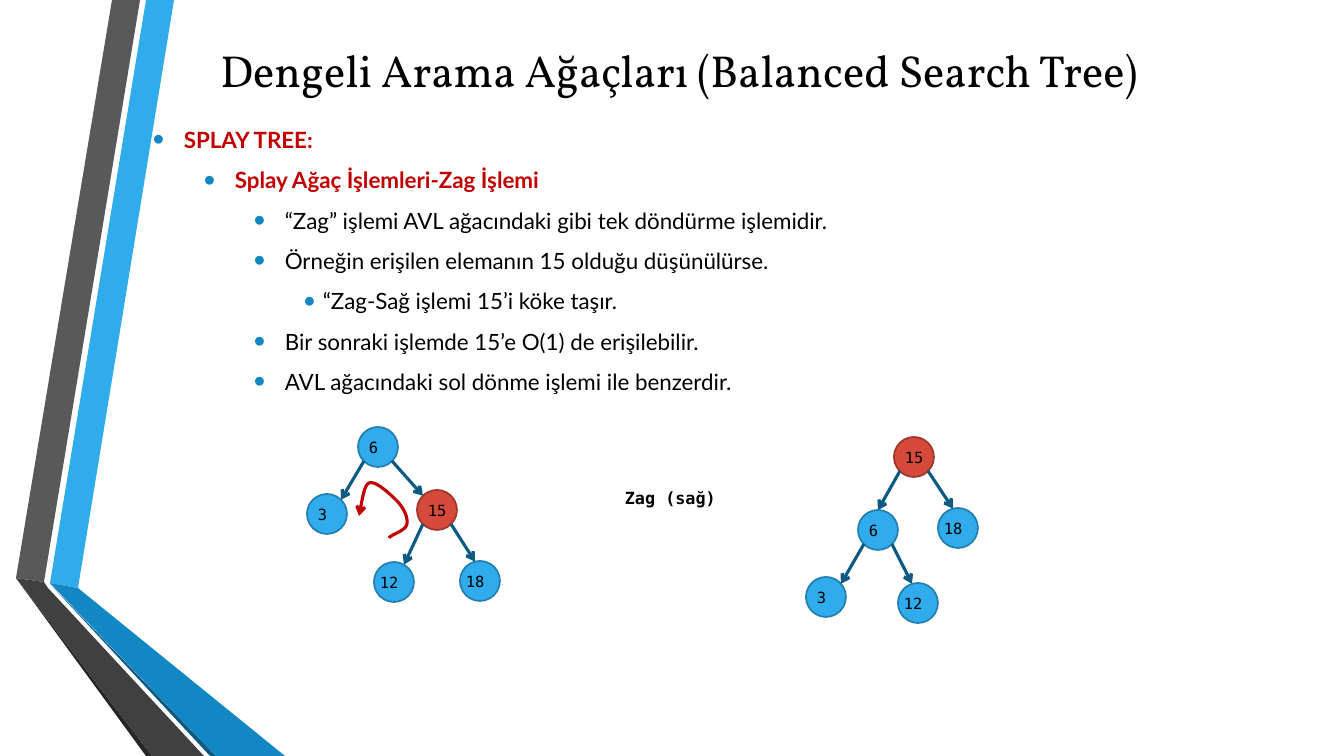
import pptx
import pptx.util
import pptx.dml.color
import pptx.enum.shapes
import pptx.enum.text
import pptx.oxml.ns
from lxml import etree

PX = 914400 / 100.8  # EMU in one pixel
THEME = {
    "head": ("Vollkorn", 32), "body": ("Lato", 16),
    "node": ("DejaVu Sans Mono", 11), "note": ("DejaVu Sans Mono", 12),
    "black": "000000", "red": "C00000", "bullet": "1287C3", "edge": "0C5A82",
    "blue": ("30ACEC", "247FAF"), "root": ("D64A3B", "9E372C"),
    "thin": 1.25, "thick": 2.25,
}

# Content
TITLE = "Dengeli Arama Ağaçları (Balanced Search Tree)"
LINES = [  # level, text
    (0, "SPLAY TREE:"),
    (1, "Splay Ağaç İşlemleri-Zag İşlemi"),
    (2, "“Zag” işlemi AVL ağacındaki gibi tek döndürme işlemidir."),
    (2, "Örneğin erişilen elemanın 15 olduğu düşünülürse."),
    (3, "“Zag-Sağ işlemi 15’i köke taşır."),
    (2, "Bir sonraki işlemde 15’e O(1) de erişilebilir."),
    (2, "AVL ağacındaki sol dönme işlemi ile benzerdir."),
]
INDENT = [(31, 31), (82, 31), (132, 31), (170, 19)]  # text start, hang
NOTE = "Zag (sağ)"
TREES = [  # label: centre x, centre y, parent, arrow tip's x from centre
    {"6": (378, 447, None, 0), "3": (327, 514, "6", 14),
     "15": (437, 510, "6", -14), "12": (394, 582, "15", 10),
     "18": (480, 581, "15", -5)},
    {"15": (914, 457, None, 0), "6": (878, 530, "15", 0),
     "18": (958, 528, "15", -5), "3": (826, 597, "6", 15),
     "12": (918, 603, "6", -6)},
]
BANDS = [  # colour, corners
    ("30ACEC", [(50, 583), (78, 588), (174, 0), (146, 0)]),
    ("595959", [(140, 0), (112, 0), (16, 578), (44, 582)]),
    ("262626", [(16, 578), (146, 756), (152, 756)]),
    ("0C5A82", [(50, 584), (210, 756), (216, 756)]),
    ("1287C3", [(50, 583), (216, 756), (285, 756), (78, 588)]),
    ("404040", [(16, 578), (152, 756), (204, 756), (48, 588), (44, 582)]),
]
TURN = [(389, 538), (390, 535), (406, 531), (407, 524), (408, 517), (404, 509),
        (398, 502), (392, 496), (376, 480), (369, 483), (363, 485), (361, 510),
        (359, 516)]  # Bezier points, three to a piece
RAD = 20    # node radius
FOOT = 14   # edges leave a node this far from its centre, both ways


def emu(*nums):
    return [round(n * PX) for n in nums]


def color(code):
    return pptx.dml.color.RGBColor.from_string(code)


def add(node, tag, **attrs):
    return etree.SubElement(node, pptx.oxml.ns.qn(tag), attrs)


def style(para, kind, tint="black", bold=False):
    for run in para.runs:
        run.font.name, size = THEME[kind]
        run.font.size = pptx.util.Pt(size)
        run.font.color.rgb = color(THEME[tint])
        run.font.bold = bold


def stroke(shape, code, width, arrow=False):
    shape.line.color.rgb = color(code)
    shape.line.width = pptx.util.Pt(width)
    if arrow:
        add(shape.line._get_or_add_ln(), "a:tailEnd", type="arrow")


def outline(group, points, close):
    pen = group.shapes.build_freeform(*emu(*points[0]))
    pen.add_line_segments([emu(*p) for p in points[1:]], close=close)
    shape = pen.convert_to_shape()
    shape.shadow.inherit = False
    return shape


def curve(points, steps=12):
    out = [points[0]]
    for k in range(0, len(points) - 1, 3):
        a, b, c, d = points[k:k + 4]
        for n in range(1, steps + 1):
            t = n / steps
            u = 1 - t
            out.append([u**3 * a[i] + 3 * u * u * t * b[i]
                        + 3 * u * t * t * c[i] + t**3 * d[i] for i in (0, 1)])
    return out


def draw_node(group, label, x, y):
    node = group.shapes.add_shape(
        pptx.enum.shapes.MSO_SHAPE.OVAL,
        *emu(x - RAD, y - RAD, 2 * RAD, 2 * RAD))
    node.shadow.inherit = False
    fill, line = THEME["root" if label == "15" else "blue"]
    node.fill.solid()
    node.fill.fore_color.rgb = color(fill)
    stroke(node, line, THEME["thin"])
    frame = node.text_frame
    frame.text = label
    frame.word_wrap = True
    frame.margin_top = frame.margin_bottom = frame.margin_right = 0
    frame.margin_left = emu(0 if label in ("12", "18") else 5)[0]
    frame.vertical_anchor = pptx.enum.text.MSO_ANCHOR.MIDDLE
    frame.paragraphs[0].alignment = pptx.enum.text.PP_ALIGN.LEFT
    style(frame.paragraphs[0], "node")


def draw_edge(group, start, end, tip):
    side = FOOT if end[0] > start[0] else -FOOT
    edge = group.shapes.add_connector(
        pptx.enum.shapes.MSO_CONNECTOR.STRAIGHT,
        *emu(start[0] + side, start[1] + FOOT,
             end[0] + tip, end[1] - (RAD**2 - tip**2) ** 0.5))
    stroke(edge, THEME["edge"], THEME["thick"], True)
    add(edge._element.spPr, "a:effectLst")


deck = pptx.Presentation()
deck.slide_width, deck.slide_height = emu(1344, 756)
slide = deck.slides.add_slide(deck.slide_layouts[5])

# Side bands
side = slide.shapes.add_group_shape()
for code, points in BANDS:
    band = outline(side, points, True)
    band.fill.solid()
    band.fill.fore_color.rgb = color(code)
    band.line.fill.background()

# Title
head = slide.shapes.title
head.left, head.top, head.width, head.height = emu(156, 17, 1047, 105)
head.text_frame.text = TITLE
head.text_frame.vertical_anchor = pptx.enum.text.MSO_ANCHOR.MIDDLE
head.text_frame.paragraphs[0].alignment = pptx.enum.text.PP_ALIGN.CENTER
style(head.text_frame.paragraphs[0], "head")

# Bulleted text
body = slide.shapes.add_textbox(*emu(143, 108, 1120, 305)).text_frame
body.word_wrap = True
body.text = "\n".join(text for level, text in LINES)
for para, (level, text) in zip(body.paragraphs, LINES):
    top = level < 2
    style(para, "body", "red" if top else "black", top)
    para.level = level
    para.line_spacing = 1.5
    para.alignment = pptx.enum.text.PP_ALIGN.JUSTIFY
    props = para._p.get_or_add_pPr()
    start, hang = emu(*INDENT[level])
    props.set("marL", str(start))
    props.set("indent", str(-hang))
    add(add(props, "a:buClr"), "a:srgbClr", val=THEME["bullet"])
    add(props, "a:buSzPct", val="145000")
    add(props, "a:buFont", typeface="Arial")
    add(props, "a:buChar", char="•")

# Label between the trees
note = slide.shapes.add_textbox(*emu(615, 483, 132, 30)).text_frame
note.word_wrap = True
note.text = NOTE
style(note.paragraphs[0], "note", bold=True)

# Trees
groups = []
for tree in TREES:
    group = slide.shapes.add_group_shape()
    groups.append(group)
    for label, (x, y, parent, tip) in tree.items():
        draw_node(group, label, x, y)
        if parent:
            draw_edge(group, tree[parent], (x, y), tip)

# Rotation arrow in the first tree
turn = outline(groups[0], curve(TURN), False)
turn.fill.background()
stroke(turn, THEME["red"], THEME["thick"], True)

deck.save("out.pptx")
